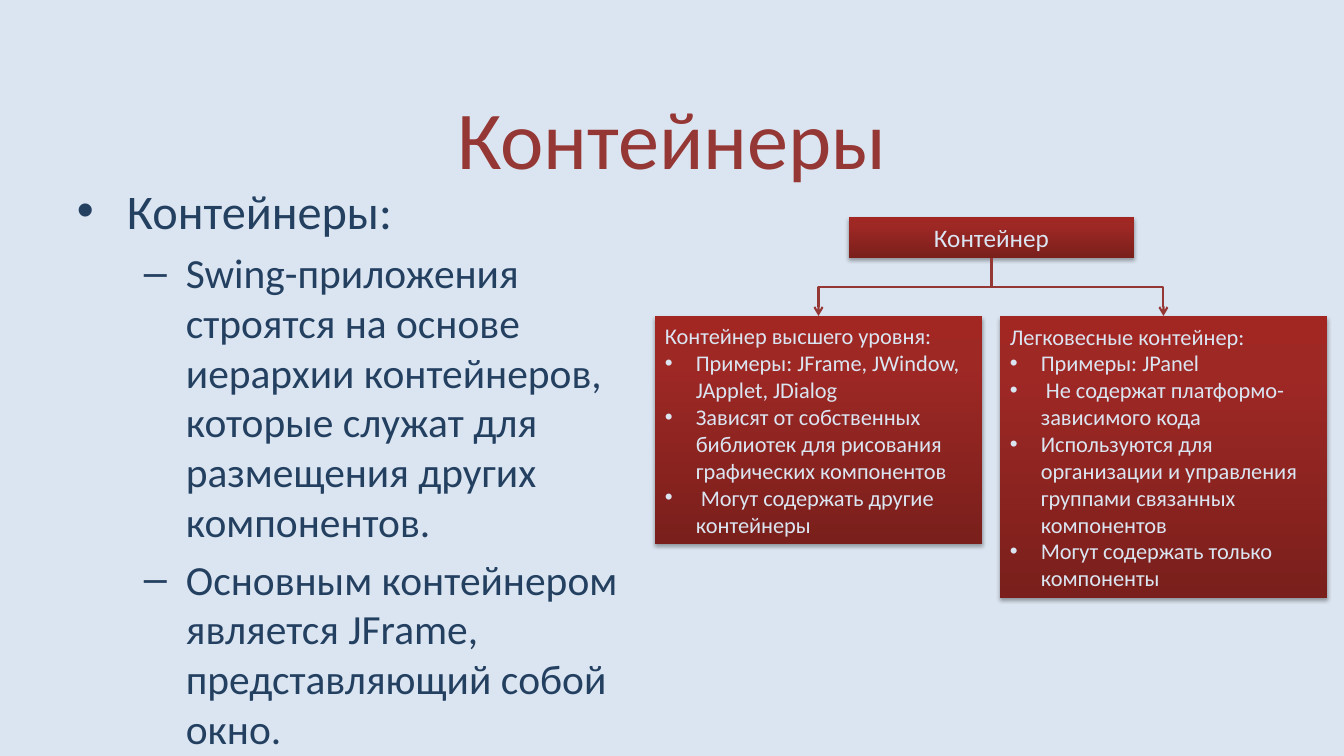
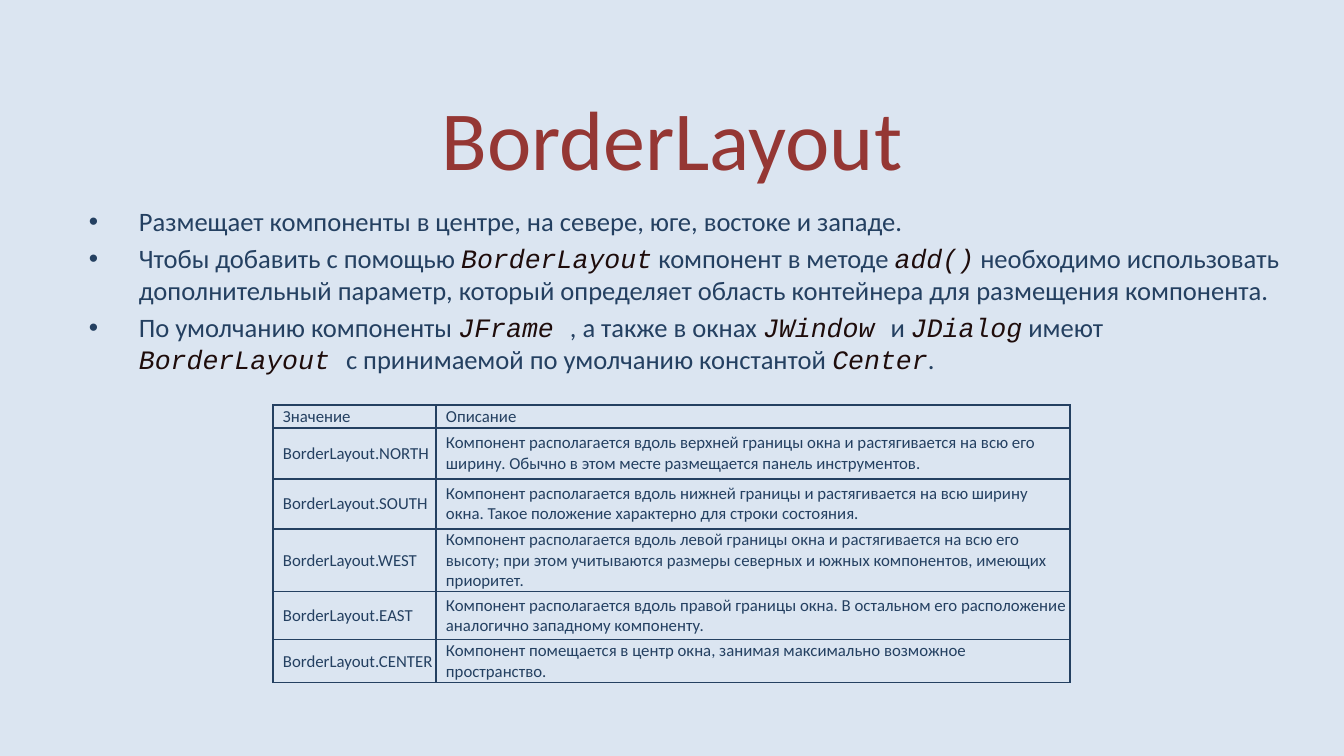
"""Build two slides on Swing containers and the BorderLayout manager."""
from pptx import Presentation
from pptx.dml.color import RGBColor
from pptx.enum.shapes import MSO_CONNECTOR, MSO_SHAPE
from pptx.enum.text import MSO_ANCHOR, MSO_AUTO_SIZE, PP_ALIGN
from pptx.oxml import parse_xml
from pptx.oxml.ns import nsdecls, qn
from pptx.util import Pt

PX = 914400 / 100.8
SANS, MONO = "Calibri", "Courier New"
PAPER, NAVY, BRICK, CODE = "DBE5F1", "244061", "953734", "1E0C0B"
BOX_STOPS = [(0, "7A1F1C"), (80, "9E2824"), (100, "A22622")]
TITLE_AREA = (67, 74, 1210, 126)
TOP, SUB = ("•", 50, 50), ("–", 109, 42)
BOX_ITEM = ("•", 31, 31)

CONTAINER_NOTES = [
    (TOP, 34.5, ["Контейнеры:"]),
    (SUB, 29.6, ["Swing-приложения строятся на основе иерархии контейнеров, "
                 "которые служат для размещения других компонентов."]),
    (SUB, 29.6, ["Основным контейнером является JFrame, представляющий собой окно."]),
]
ROOT_BOX = ("Контейнер", (849, 217, 285, 41))
KIND_BOXES = [
    ("Контейнер высшего уровня:", (655, 316, 327, 228), [
        "Примеры: JFrame, JWindow, JApplet, JDialog",
        "Зависят от собственных библиотек для рисования графических компонентов",
        " Могут содержать другие контейнеры"]),
    ("Легковесные контейнер:", (1000, 316, 327, 282), [
        "Примеры: JPanel",
        " Не содержат платформо-зависимого кода",
        "Используются для организации и управления группами связанных компонентов",
        "Могут содержать только компоненты"]),
]

# Odd entries of each list are code.
LAYOUT_NOTES = [
    (TOP, 19, ["Размещает компоненты в центре, на севере, юге, востоке и западе."]),
    (TOP, 19, ["Чтобы добавить с помощью ", "BorderLayout", " компонент в методе ", "add()",
               " необходимо использовать дополнительный параметр, который определяет "
               "область контейнера для размещения компонента."]),
    (TOP, 19, ["По умолчанию компоненты ", "JFrame ", ", а также в окнах ", "JWindow ",
               "и ", "JDialog", " имеют ", "BorderLayout ",
               "c принимаемой по умолчанию константой ", "Center", "."]),
]
REGION_COLUMNS = [163, 634]
REGIONS = [
    (23, "Значение", "Описание"),
    (51, "BorderLayout.NORTH",
     "Компонент располагается вдоль верхней границы окна и растягивается на всю его "
     "ширину. Обычно в этом месте размещается панель инструментов."),
    (50, "BorderLayout.SOUTH",
     "Компонент располагается вдоль нижней границы и растягивается на всю ширину окна. "
     "Такое положение характерно для строки состояния."),
    (63, "BorderLayout.WEST",
     "Компонент располагается вдоль левой границы окна и растягивается на всю его высоту; "
     "при этом учитываются размеры северных и южных компонентов, имеющих приоритет."),
    (48, "BorderLayout.EAST",
     "Компонент располагается вдоль правой границы окна. В остальном его расположение "
     "аналогично западному компоненту."),
    (43, "BorderLayout.CENTER",
     "Компонент помещается в центр окна, занимая максимально возможное пространство."),
]


def px(*lengths):
    return [round(length * PX) for length in lengths]


def rgb(color):
    return RGBColor.from_string(color)


def add_run(paragraph, text, size, color, face=SANS, italic=False):
    run = paragraph.add_run()
    run.text = text
    run.font.size, run.font.name, run.font.italic = Pt(size), face, italic
    run.font.color.rgb = rgb(color)


def indent(paragraph, left, hanging=0, mark=None):
    properties = paragraph._p.get_or_add_pPr()
    properties.set("marL", str(px(left)[0]))
    properties.set("indent", str(px(-hanging)[0]))
    if mark:
        properties.append(parse_xml(f'<a:buFont {nsdecls("a")} typeface="Arial"/>'))
        properties.append(parse_xml(f'<a:buChar {nsdecls("a")} char="{mark}"/>'))


def next_paragraph(frame, index):
    return frame.add_paragraph() if index else frame.paragraphs[0]


def add_titled_slide(deck, title, size):
    slide = deck.slides.add_slide(deck.slide_layouts[5])
    heading = slide.shapes.title
    heading.left, heading.top, heading.width, heading.height = px(*TITLE_AREA)
    frame = heading.text_frame
    frame.vertical_anchor = MSO_ANCHOR.MIDDLE
    frame.auto_size = MSO_AUTO_SIZE.NONE
    frame.paragraphs[0].alignment = PP_ALIGN.CENTER
    add_run(frame.paragraphs[0], title, size, BRICK)
    return slide


def add_notes(slide, notes, area):
    frame = slide.shapes.add_textbox(*px(*area)).text_frame
    frame.word_wrap = True
    for index, ((mark, left, hanging), size, pieces) in enumerate(notes):
        paragraph = next_paragraph(frame, index)
        indent(paragraph, left, hanging, mark)
        if index:
            paragraph.space_before = Pt(round(size * 0.2, 1))
        for order, piece in enumerate(pieces):
            if order % 2:
                add_run(paragraph, piece, size, CODE, MONO, True)
            else:
                add_run(paragraph, piece, size, NAVY)


def add_box(slide, heading, area, size, align, items=()):
    box = slide.shapes.add_shape(MSO_SHAPE.RECTANGLE, *px(*area))
    box.line.fill.background()
    box.shadow.inherit = False
    stops = "".join(f'<a:gs pos="{at * 1000}"><a:srgbClr val="{color}"/></a:gs>'
                    for at, color in BOX_STOPS)
    properties = box._element.spPr
    properties.find(qn("a:prstGeom")).addnext(parse_xml(
        f'<a:gradFill {nsdecls("a")} rotWithShape="1"><a:gsLst>{stops}</a:gsLst>'
        '<a:lin ang="16200000" scaled="0"/></a:gradFill>'))
    properties.find(qn("a:effectLst")).append(parse_xml(
        f'<a:outerShdw {nsdecls("a")} blurRad="{Pt(3.1)}" dist="{Pt(1.8)}" dir="5400000" '
        'rotWithShape="0"><a:srgbClr val="000000"><a:alpha val="35000"/></a:srgbClr>'
        '</a:outerShdw>'))
    frame = box.text_frame
    frame.word_wrap = True
    for index, text in enumerate([heading, *items]):
        paragraph = next_paragraph(frame, index)
        paragraph.alignment = align
        if index:
            mark, left, hanging = BOX_ITEM
            indent(paragraph, left, hanging, mark)
        add_run(paragraph, text, size, PAPER)
    return box


def add_branch(slide, parent, child):
    start_x, start_y = parent.left + parent.width // 2, parent.top + parent.height
    end_x = child.left + child.width // 2
    drop, run = child.top - start_y, abs(end_x - start_x)
    branch = slide.shapes.add_connector(MSO_CONNECTOR.ELBOW, start_x, start_y, end_x, child.top)
    branch.begin_connect(parent, 2)
    branch.end_connect(child, 0)
    branch.left = (start_x + end_x - drop) // 2
    branch.top = start_y + (drop - run) // 2
    branch.width, branch.height = drop, run
    rightward = end_x > start_x
    properties = branch._element.spPr
    frame = properties.find(qn("a:xfrm"))
    frame.set("rot", "16200000" if rightward else "5400000")
    frame.set("flipH", "1" if rightward else "0")
    branch.line.color.rgb = rgb(BRICK)
    branch.line.width = Pt(1.5)
    properties.find(qn("a:ln")).append(parse_xml(f'<a:tailEnd {nsdecls("a")} type="arrow"/>'))
    properties.append(parse_xml(f'<a:effectLst {nsdecls("a")}/>'))


def format_cell(cell, text):
    cell.fill.background()
    cell.vertical_anchor = MSO_ANCHOR.MIDDLE
    cell.margin_left, cell.margin_right, cell.margin_top, cell.margin_bottom = px(1, 1, 1, 1)
    for order, side in enumerate(("lnL", "lnR", "lnT", "lnB")):
        cell._tc.get_or_add_tcPr().insert(order, parse_xml(
            f'<a:{side} {nsdecls("a")} w="{Pt(1)}"><a:solidFill><a:srgbClr val="{NAVY}"/>'
            f'</a:solidFill></a:{side}>'))
    paragraph = cell.text_frame.paragraphs[0]
    indent(paragraph, 9)
    add_run(paragraph, text, 12, NAVY)


def add_regions(slide, left, top):
    width, height = sum(REGION_COLUMNS), sum(row[0] for row in REGIONS)
    table = slide.shapes.add_table(len(REGIONS), len(REGION_COLUMNS),
                                   *px(left, top, width, height)).table
    table.first_row = table.horz_banding = False
    for column, column_width in zip(table.columns, px(*REGION_COLUMNS)):
        column.width = column_width
    for row, (row_height, *texts) in zip(table.rows, REGIONS):
        row.height = px(row_height)[0]
        for cell, text in zip(row.cells, texts):
            format_cell(cell, text)


def main():
    deck = Presentation()
    deck.slide_width, deck.slide_height = px(1344, 756)
    backdrop = deck.slide_master.background.fill
    backdrop.solid()
    backdrop.fore_color.rgb = rgb(PAPER)

    containers = add_titled_slide(deck, "Контейнеры", 58.7)
    add_notes(containers, CONTAINER_NOTES, (67, 176, 571, 490))
    root = add_box(containers, *ROOT_BOX, 18, PP_ALIGN.CENTER)
    for heading, area, items in KIND_BOXES:
        kind = add_box(containers, heading, area, 16, PP_ALIGN.LEFT, items)
        add_branch(containers, root, kind)

    border_layout = add_titled_slide(deck, "BorderLayout", 60)
    add_notes(border_layout, LAYOUT_NOTES, (79, 200, 1221, 178))
    add_regions(border_layout, 273, 405)
    deck.save("out.pptx")


if __name__ == "__main__":
    main()
